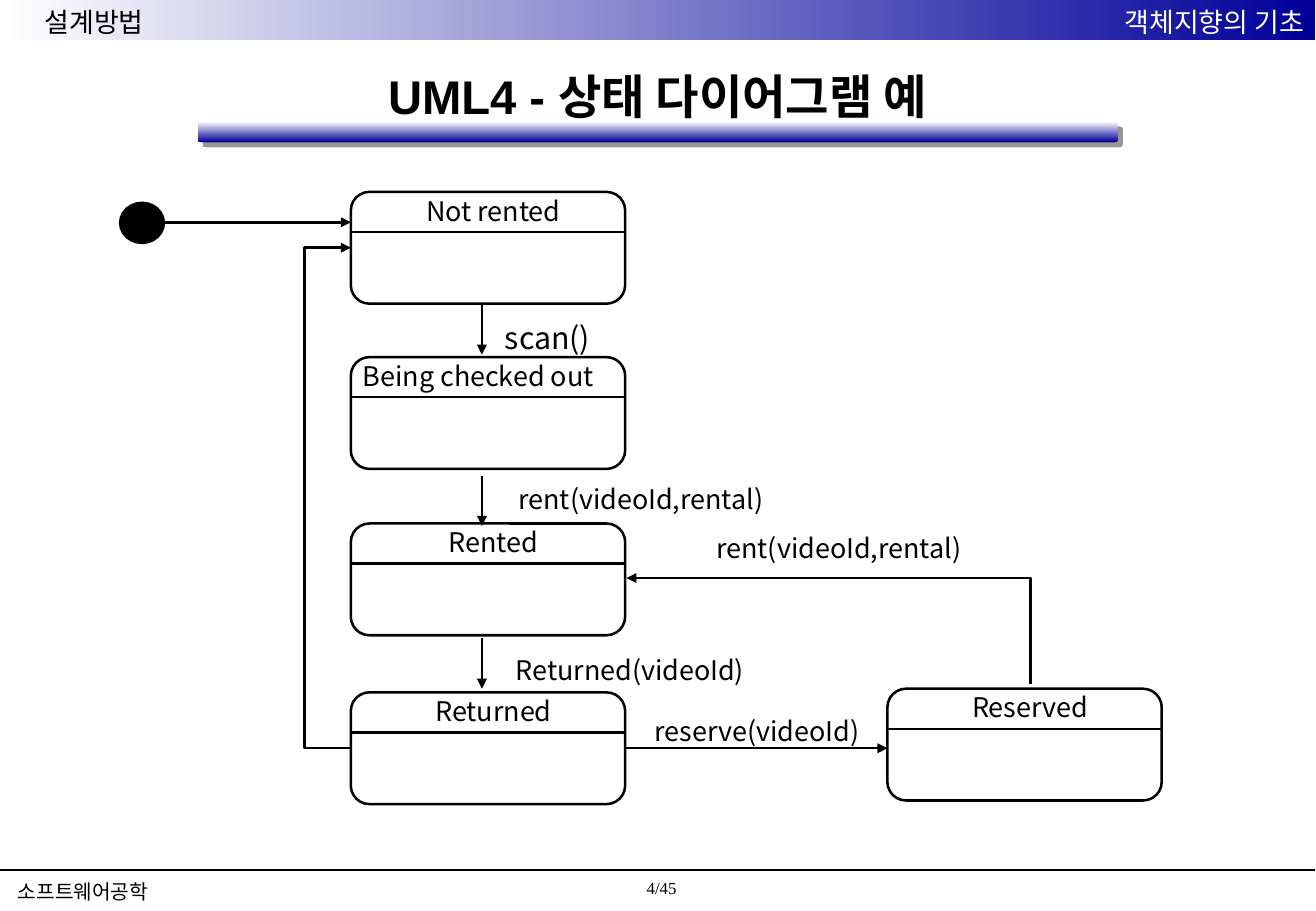
"""Build a slide with a UML state diagram for video rental."""
from lxml import etree
from pptx import Presentation
from pptx import util as u
from pptx.dml.color import RGBColor
from pptx.enum import shapes, text
from pptx.oxml import ns

PX = 9144
BLACK = RGBColor(0x00, 0x00, 0x00)
WHITE = RGBColor(0xFF, 0xFF, 0xFF)
NAVY = RGBColor(0x00, 0x00, 0x99)
SHADOW_GREY = RGBColor(0x96, 0x96, 0x96)
KOREAN_FONT = "Noto Sans CJK KR"
SERIF_FONT = "Times New Roman"
LABEL_FONT = {"name": KOREAN_FONT, "size": u.Pt(16)}
HEADER_FONT = {"name": SERIF_FONT, "size": u.Pt(16)}
CENTER = {"alignment": text.PP_ALIGN.CENTER}
LEFT = {"alignment": text.PP_ALIGN.LEFT}
RIGHT = {"alignment": text.PP_ALIGN.RIGHT}
STATE_WIDTH, STATE_HEIGHT, NAME_HEIGHT = 226, 92, 33
COLUMN_LEFT, ARROW_X = 289, 397

STATES = [
    ("Not rented", COLUMN_LEFT, 158, CENTER),
    ("Rented", COLUMN_LEFT, 431, CENTER),
    ("Returned", COLUMN_LEFT, 570, CENTER),
    ("Reserved", 731, 567, CENTER),
    ("Being checked out", COLUMN_LEFT, 294, LEFT),
]
DOWN_ARROWS = [(250, 292), (392, 433), (525, 567)]
EVENTS = [
    ("scan()", (397, 258, 108, 40), {**LABEL_FONT, "size": u.Pt(18)}),
    ("rent(videoId,rental)", (406, 392, 244, 37), LABEL_FONT),
    ("Returned(videoId)", (397, 533, 244, 37), LABEL_FONT),
    ("rent(videoId,rental)", (569, 433, 244, 37), LABEL_FONT),
    ("reserve(videoId)", (488, 583, 271, 37), LABEL_FONT),
]


def scaled(lengths):
    """Turn px lengths into EMU."""
    return [length * PX for length in lengths]


def set_all(target, values):
    """Set every attribute named in a dict of format values."""
    for name, value in values.items():
        setattr(target, name, value)


def write(frame, words, font, paragraph_format, color=BLACK):
    """Put one formatted paragraph into a text frame."""
    paragraph = frame.paragraphs[0]
    set_all(paragraph, paragraph_format)
    run = paragraph.add_run()
    run.text = words
    set_all(run.font, font)
    run.font.color.rgb = color
    properties = run.font.latin if hasattr(run.font, "latin") else run._r.get_or_add_rPr()
    etree.SubElement(properties, ns.qn("a:ea"), typeface=KOREAN_FONT)


def add_label(container, words, box, font, paragraph_format, color=BLACK, wrap=True):
    """Add a text box with one line of text."""
    frame = container.add_textbox(*scaled(box)).text_frame
    frame.word_wrap = wrap
    frame.auto_size = text.MSO_AUTO_SIZE.SHAPE_TO_FIT_TEXT
    write(frame, words, font, paragraph_format, color)


def add_outline(container, kind, box, fill=None):
    """Add a black-edged shape, filled or hollow."""
    shape = container.add_shape(kind, *scaled(box))
    shape.shadow.inherit = False
    if fill is None:
        shape.fill.background()
    else:
        shape.fill.solid()
        shape.fill.fore_color.rgb = fill
    shape.line.color.rgb = BLACK
    shape.line.width = u.Pt(1.5)
    return shape


def add_gradient_bar(container, kind, box, angle):
    """Add an edgeless bar that fades from white to navy."""
    shape = container.add_shape(kind, *scaled(box))
    shape.shadow.inherit = False
    shape.fill.gradient()
    shape.fill.gradient_angle = angle
    for stop, color in zip(shape.fill.gradient_stops, (WHITE, NAVY)):
        stop.color.rgb = color
    shape.line.fill.background()
    return shape


def add_drop_shadow(shape):
    """Give a shape a hard grey shadow to the lower right."""
    effects = shape.element.spPr.find(ns.qn("a:effectLst"))
    shadow = etree.SubElement(effects, ns.qn("a:outerShdw"), blurRad="0", dist=str(u.Pt(4.2)),
                              dir="2700000", algn="ctr", rotWithShape="0")
    etree.SubElement(shadow, ns.qn("a:srgbClr"), val=str(SHADOW_GREY))


def add_link(container, start, end, arrow=True, width=1.5, kind=shapes.MSO_CONNECTOR.STRAIGHT):
    """Add a black connector, with an arrowhead if asked."""
    link = container.add_connector(kind, *scaled(start + end))
    link.line.color.rgb = BLACK
    link.line.width = u.Pt(width)
    properties = link.element.spPr
    if arrow:
        etree.SubElement(properties.find(ns.qn("a:ln")), ns.qn("a:tailEnd"), type="triangle")
    etree.SubElement(properties, ns.qn("a:effectLst"))
    return link


def add_state(container, name, left, top, paragraph_format):
    """Add a state as a group of box, name and divider; return the box."""
    group = container.add_group_shape().shapes
    box = add_outline(group, shapes.MSO_SHAPE.ROUNDED_RECTANGLE,
                      (left, top, STATE_WIDTH, STATE_HEIGHT))
    add_label(group, name, (left, top - 3, 235, 37), LABEL_FONT, paragraph_format)
    divider = top + NAME_HEIGHT
    add_link(group, (left, divider), (left + STATE_WIDTH, divider), arrow=False)
    return box


def add_return_link(container):
    """Add the elbow arrow from Returned back to Not rented."""
    link = add_link(container, (288, 616), (289, 204), kind=shapes.MSO_CONNECTOR.ELBOW)
    guides = link.element.spPr.find(ns.qn("a:prstGeom")).get_or_add_avLst()
    etree.SubElement(guides, ns.qn("a:gd"), name="adj1", fmla="val -3800000")


def add_reserved_link(container):
    """Add the one-corner arrow from Reserved up to Rented."""
    link = add_link(container, (639, 686), (726, 353), kind=shapes.MSO_CONNECTOR.ELBOW)
    properties = link.element.spPr
    properties.find(ns.qn("a:xfrm")).set("rot", "16200000")
    properties.find(ns.qn("a:prstGeom")).set("prst", "bentConnector2")


def add_frame(container):
    """Add the header, the footer and the bar below the title."""
    add_gradient_bar(container, shapes.MSO_SHAPE.RECTANGLE, (0, 0, 1083, 33), 0)
    add_label(container, "설계방법", (27, 0, 379, 37), HEADER_FONT, LEFT)
    add_label(container, "객체지향의 기초", (822, 0, 262, 37), HEADER_FONT, RIGHT, WHITE)
    add_label(container, "4/45", (497, 718, 96, 27),
              {"name": SERIF_FONT, "size": u.Pt(10)}, CENTER, wrap=False)
    add_label(container, "소프트웨어공학", (5, 717, 127, 32),
              {"name": KOREAN_FONT, "size": u.Pt(12)}, {**LEFT, "line_spacing": 1.1}, wrap=False)
    add_link(container, (0, 716), (1083, 716), arrow=False, width=1)
    add_drop_shadow(add_gradient_bar(container, shapes.MSO_SHAPE.ROUNDED_RECTANGLE,
                                     (163, 100, 758, 17), 270))


def add_title(title):
    """Place and write the title placeholder."""
    left, top, width, height = scaled((81, 50, 921, 58))
    set_all(title, {"left": left, "top": top, "width": width, "height": height})
    title.text_frame.vertical_anchor = text.MSO_ANCHOR.MIDDLE
    write(title.text_frame, "UML4 - 상태 다이어그램 예",
          {"name": "Arial", "size": u.Pt(28), "bold": True}, CENTER)


def main():
    """Build and save the slide."""
    presentation = Presentation()
    presentation.slide_width, presentation.slide_height = scaled((1084, 750))
    slide = presentation.slides.add_slide(presentation.slide_layouts[5])
    container = slide.shapes
    add_frame(container)
    add_outline(container, shapes.MSO_SHAPE.OVAL, (99, 167, 36, 33), BLACK)
    add_link(container, (126, 183), (COLUMN_LEFT, 183))
    boxes = {state[0]: add_state(container, *state) for state in STATES}
    for top, bottom in DOWN_ARROWS:
        add_link(container, (ARROW_X, top), (ARROW_X, bottom))
    add_return_link(container)
    add_reserved_link(container)
    reserve = add_link(container, (515, 616), (731, 616))
    reserve.begin_connect(boxes["Returned"], 3)
    for words, box, font in EVENTS:
        add_label(container, words, box, font, CENTER)
    add_title(container.title)
    presentation.save("out.pptx")


if __name__ == "__main__":
    main()
